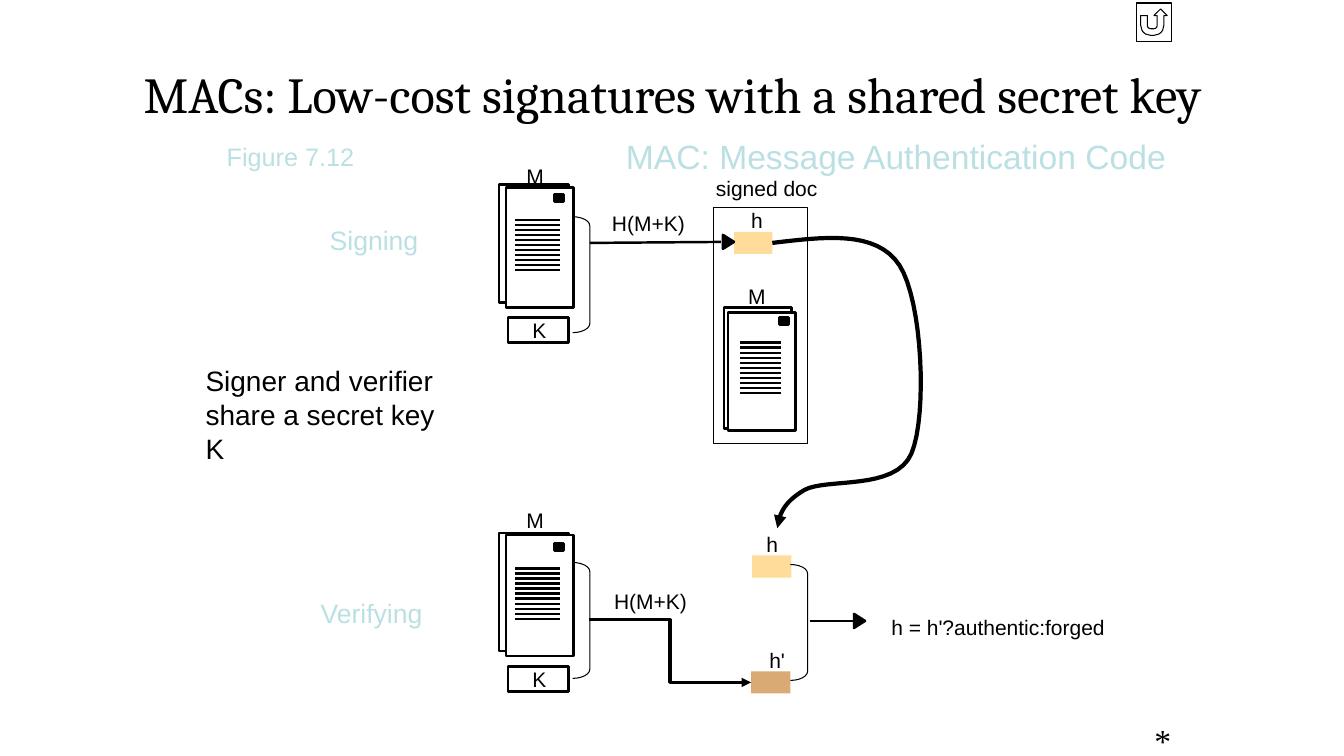
from pptx import Presentation
from pptx.dml.color import RGBColor
from pptx.enum.shapes import MSO_CONNECTOR, MSO_SHAPE
from pptx.enum.text import MSO_ANCHOR, MSO_AUTO_SIZE, PP_ALIGN
from pptx.oxml.ns import qn
from pptx.util import Inches, Pt
from lxml.etree import SubElement

BLACK = RGBColor(0x00, 0x00, 0x00)
WHITE = RGBColor(0xFF, 0xFF, 0xFF)
PALE = RGBColor(0xBB, 0xE0, 0xE3)
YELLOW = RGBColor(0xFF, 0xDC, 0x99)
TAN = RGBColor(0xD9, 0xAA, 0x73)
W, H = 13.33, 7.5
THIN, MEDIUM, BENT, THICK = 0.75, 1.75, 2.25, 3

# Content: text, (left, top, width, height)
TITLE = "MACs: Low-cost signatures with a shared secret key"
STAGES = [("Signing", (3.27, 2.22, 0.89, 0.32)),
          ("Verifying", (3.18, 5.92, 1.02, 0.32))]
LABELS = [("H(M+K)", (6.07, 2.09, 0.73, 0.25)),
          ("H(M+K)", (6.09, 5.84, 0.73, 0.25)),
          ("signed doc", (7.1, 1.74, 1.02, 0.25)),
          ("h", (7.45, 2.06, 0.12, 0.25)),
          ("h", (7.6, 5.27, 0.12, 0.25)),
          ("h'", (7.63, 6.42, 0.16, 0.25)),
          ("h = h'?authentic:forged", (8.84, 6.1, 2.14, 0.25))]
NOTES = [("Figure 7.12", (2.15, 1.35, 1.48, 0.4), dict(size=18, color=PALE)),
         ("MAC: Message Authentication Code", (6.11, 1.3, 5.61, 0.5),
          dict(size=24, color=PALE)),
         ("Signer and verifier share a secret key K", (1.94, 3.56, 2.7, 1.11),
          dict(size=20, wrap=True)),
         ("*", (11.35, 7.09, 0.31, 0.5),
          dict(size=24, font="Times New Roman", wrap=True))]

# Documents: front sheet, back sheet, first text line, stamp, M label top
DOCS = [((5.02, 1.86, 0.67, 1.19), (4.95, 1.83, 0.69, 1.17),
         (5.11, 2.18, 0.44), (5.5, 1.93), 1.62),
        ((5.02, 5.31, 0.67, 1.2), (4.95, 5.29, 0.69, 1.17),
         (5.11, 5.64, 0.44), (5.5, 5.39), 5.03),
        ((7.22, 3.1, 0.67, 1.17), (7.18, 3.05, 0.67, 1.2),
         (7.34, 3.4, 0.41), (7.73, 3.15), 2.81)]
TEXT_LINES, LINE_GAP = 11, 0.05
KEY_TOPS = [3.15, 6.61]
HASHES = [((7.28, 2.3, 0.38, 0.22), YELLOW),
          ((7.46, 5.51, 0.39, 0.22), YELLOW),
          ((7.45, 6.66, 0.39, 0.22), TAN)]
BRACKETS = [(5.68, 2.15), (5.68, 5.58), (7.84, 5.6)]
ARROWS = [((5.85, 2.41), (7.15, 2.4), (7.17, 2.4)),
          ((8.03, 6.16), (8.47, 6.16), (8.47, 6.16))]
HASH_PATH = [(7.66, 2.41), (8.17, 2.35), (8.69, 2.28), (8.92, 2.63),
             (9.15, 2.98), (9.2, 4.12), (9.04, 4.5), (8.88, 4.87),
             (8.2, 4.74), (7.98, 4.86), (7.76, 4.99), (7.73, 5.11),
             (7.71, 5.24)]

prs = Presentation()
prs.slide_width, prs.slide_height = Inches(W), Inches(H)
s = prs.slides.add_slide(prs.slide_layouts[5])


def style(r, size, font, color):
    r.font.size, r.font.name = Pt(size), font
    r.font.color.rgb = color


def add_text(text, box, size=15, font="Arial", color=BLACK, wrap=False, inset=True):
    tf = s.shapes.add_textbox(*map(Inches, box)).text_frame
    tf.word_wrap = wrap
    tf.auto_size = MSO_AUTO_SIZE.SHAPE_TO_FIT_TEXT
    if not inset:
        tf.margin_left = tf.margin_top = tf.margin_right = tf.margin_bottom = 0
    r = tf.paragraphs[0].add_run()
    r.text = text
    style(r, size, font, color)


def paint(sp, fill=None, line=None):
    sp.shadow.inherit = False
    if fill is None:
        sp.fill.background()
    else:
        sp.fill.solid()
        sp.fill.fore_color.rgb = fill
    if line is None:
        sp.line.fill.background()
    else:
        sp.line.color.rgb, sp.line.width = BLACK, Pt(line)
    return sp


def add_box(box, fill=None, line=None, kind=MSO_SHAPE.RECTANGLE):
    return paint(s.shapes.add_shape(kind, *map(Inches, box)), fill, line)


def add_line(start, end, width=MEDIUM, kind=MSO_CONNECTOR.STRAIGHT):
    c = s.shapes.add_connector(kind, *map(Inches, start + end))
    c.line.color.rgb, c.line.width = BLACK, Pt(width)
    SubElement(c._element.spPr, qn("a:effectLst"))
    return c


def add_path(points, closed, fill, line):
    pts = [(Inches(x), Inches(y)) for x, y in points]
    fb = s.shapes.build_freeform(*pts[0])
    fb.add_line_segments(pts[1:], close=closed)
    return paint(fb.convert_to_shape(), fill, line)


def add_head(sp):
    SubElement(sp.line._get_or_add_ln(), qn("a:tailEnd"), type="triangle")


def bezier(pts, t):
    weights = ((1 - t) ** 3, 3 * t * (1 - t) ** 2, 3 * t * t * (1 - t), t ** 3)
    return tuple(sum(k * p[i] for k, p in zip(weights, pts)) for i in (0, 1))


# Title
title = s.shapes.title
title.left, title.top, title.width, title.height = map(Inches, (0.67, 0.3, 12, 1.25))
title.text_frame.vertical_anchor = MSO_ANCHOR.MIDDLE
p = title.text_frame.paragraphs[0]
p.alignment = PP_ALIGN.CENTER
r = p.add_run()
r.text = TITLE
style(r, 36, "Cambria", BLACK)

# Documents with stamp and lines of writing
add_box((7.08, 2.06, 0.93, 2.34), line=THIN)
for front, back, (x, y, w), stamp, m_top in DOCS:
    for sheet in (back, front):
        add_box(sheet, WHITE, MEDIUM)
    add_box(stamp + (0.09, 0.07), BLACK, MEDIUM)
    for i in range(TEXT_LINES):
        row = y + i * LINE_GAP
        add_line((x, row), (x + w, row))
    add_text("M", (front[0] + 0.2, m_top, 0.17, 0.25), inset=False)

# Keys, hashes and brackets
for top in KEY_TOPS:
    add_box((5.04, top, 0.6, 0.25), WHITE, MEDIUM)
    add_text("K", (5.28, top, 0.14, 0.25), inset=False)
for box, color in HASHES:
    add_box(box, color)
for corner in BRACKETS:
    bracket = add_box(corner + (0.17, 1.15), line=THIN, kind=MSO_SHAPE.RIGHT_BRACKET)
    bracket.adjustments[0] = 0.53

# Arrows
for start, end, (x, y) in ARROWS:
    add_line(start, end)
    add_path([(x, y - 0.07), (x + 0.11, y), (x, y + 0.07)], True, BLACK, MEDIUM)
add_head(add_line((5.84, 6.15), (7.45, 6.77), BENT, MSO_CONNECTOR.ELBOW))
STEPS = 16
curve = [HASH_PATH[0]] + [bezier(HASH_PATH[k:k + 4], i / STEPS)
                          for k in (0, 3, 6, 9) for i in range(1, STEPS + 1)]
add_head(add_path(curve, False, None, THICK))

# Labels and notes
for text, box in STAGES:
    add_text(text, box, size=19, color=PALE, inset=False)
for text, box in LABELS:
    add_text(text, box, inset=False)
for text, box, fmt in NOTES:
    add_text(text, box, **fmt)

# Return button
add_box((11.27, 0.03, 0.35, 0.38), line=THIN, kind=MSO_SHAPE.ACTION_BUTTON_RETURN)

prs.save("out.pptx")
